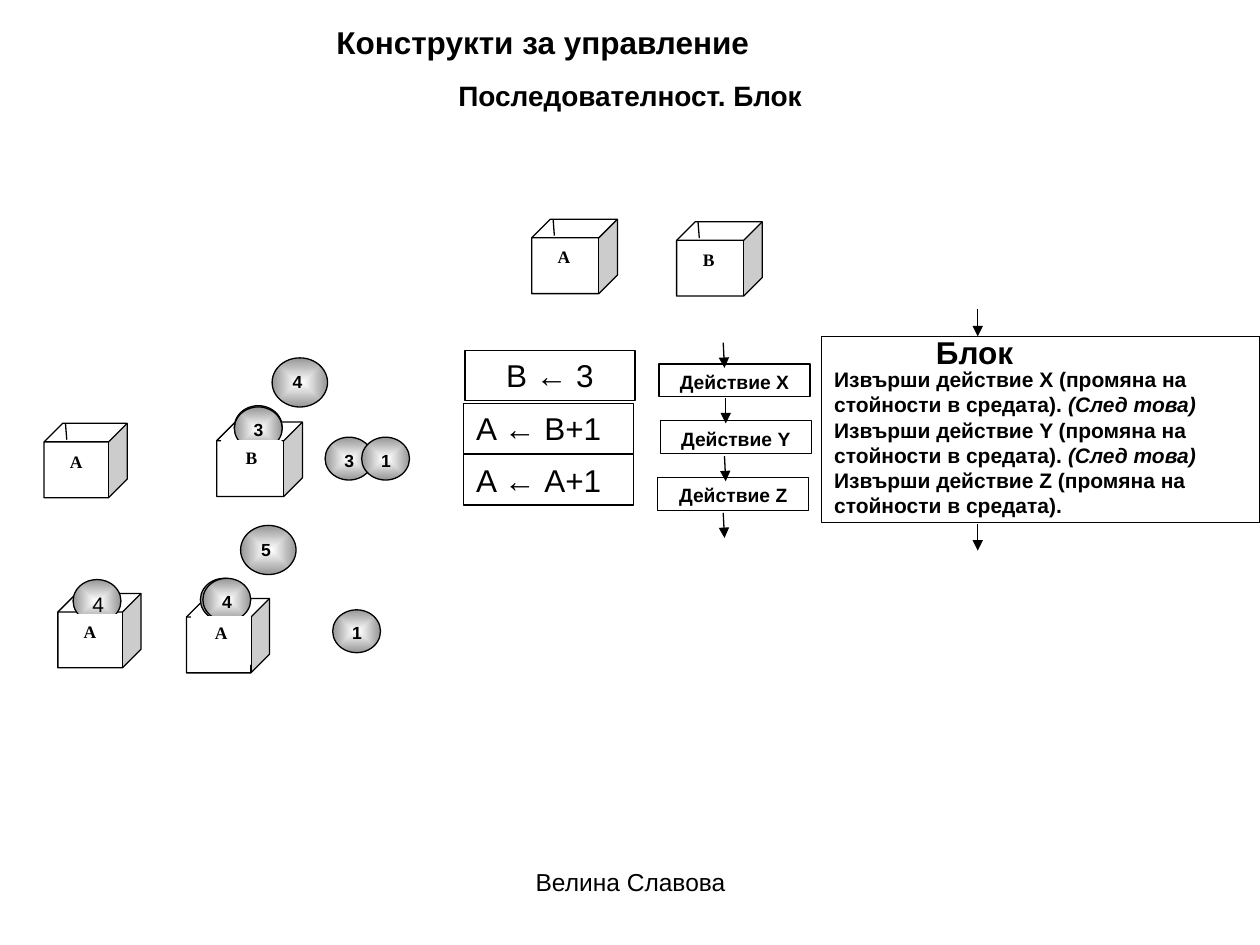
from lxml.etree import SubElement
from pptx import Presentation
from pptx.dml.color import RGBColor
from pptx.enum.shapes import MSO_CONNECTOR, MSO_SHAPE
from pptx.enum.text import MSO_ANCHOR, MSO_AUTO_SIZE, PP_ALIGN
from pptx.oxml import parse_xml
from pptx.oxml.ns import nsdecls, qn
from pptx.util import Inches, Pt

BLACK = RGBColor(0x00, 0x00, 0x00)
WHITE = RGBColor(0xFF, 0xFF, 0xFF)
GRAY = RGBColor(0x96, 0x96, 0x96)

CUBES = [
    (0.46, 4.71, 0.66, "А", 0.02, 0.17),
    (1.72, 3.35, 0.68, "B", 0.04, 0.15),
    (0.35, 3.36, 0.66, "А", 0.02, 0.17),
    (5.37, 1.76, 0.68, "B", 0.02, 0.17),
    (4.22, 1.74, 0.68, "А", 0.02, 0.16),
    (1.48, 4.75, 0.66, "А", 0.04, 0.14),
]
SMALL_BALL = (0.38, 0.34)
LARGE_BALL = (0.44, 0.39)
BALLS = [
    (2.58, 3.47, SMALL_BALL, "3"),
    (1.86, 3.22, SMALL_BALL, "3"),
    (1.86, 3.23, SMALL_BALL, "3"),
    (2.87, 3.47, SMALL_BALL, "1"),
    (2.16, 2.84, LARGE_BALL, "4"),
    (1.59, 4.59, SMALL_BALL, "4"),
    (1.61, 4.59, SMALL_BALL, "4"),
    (2.64, 4.84, SMALL_BALL, "1"),
    (1.91, 4.17, LARGE_BALL, "5"),
]
ACTIONS = [
    (5.23, 2.89, "Действие X"),
    (5.24, 3.34, "Действие Y"),
    (5.22, 3.79, "Действие Z"),
]
ASSIGNMENTS = [
    (3.69, 2.78, "B ← 3", PP_ALIGN.CENTER),
    (3.68, 3.20, "A ← B+1", PP_ALIGN.LEFT),
    (3.68, 3.61, "A ← А+1", PP_ALIGN.LEFT),
]
ARROWS = [
    (5.74, 2.72, 5.75, 2.92),
    (5.76, 3.16, 5.76, 3.36),
    (5.75, 3.62, 5.76, 3.82),
    (5.74, 4.07, 5.75, 4.27),
    (7.76, 2.45, 7.76, 2.67),
    (7.76, 4.16, 7.76, 4.37),
]
STEPS = [
    ("Извърши действие Х (промяна на стойности в средата). ", "(След това)"),
    ("Извърши действие Y (промяна на стойности в средата).", " (След това)"),
    ("Извърши действие Z (промяна на стойности в средата).", ""),
]


def place(shape, left, top, width, height):
    shape.left, shape.top = Inches(left), Inches(top)
    shape.width, shape.height = Inches(width), Inches(height)


def style_paragraph(para, size, bold=False, align=PP_ALIGN.LEFT, font="Arial"):
    para.alignment = align
    para.font.name = font
    para.font.size = Pt(size)
    para.font.bold = bold
    para.font.color.rgb = BLACK


def write(shape, text, size, bold=False, align=PP_ALIGN.LEFT, font="Arial", wrap=True,
          anchor=MSO_ANCHOR.TOP):
    frame = shape.text_frame
    frame.word_wrap = wrap
    frame.auto_size = MSO_AUTO_SIZE.NONE
    frame.vertical_anchor = anchor
    frame.text = text
    style_paragraph(frame.paragraphs[0], size, bold, align, font)


def outline(shape, color=BLACK):
    shape.line.color.rgb = color
    shape.line.width = Pt(0.75)


def add_figure(slide, kind, left, top, width, height, fill=WHITE, line=BLACK):
    shape = slide.shapes.add_shape(kind, Inches(left), Inches(top), Inches(width), Inches(height))
    shape.shadow.inherit = False
    if fill is None:
        shape.fill.background()
    else:
        shape.fill.solid()
        shape.fill.fore_color.rgb = fill
    outline(shape, line)
    return shape


def add_line(slide, x1, y1, x2, y2, arrow=False):
    line = slide.shapes.add_connector(
        MSO_CONNECTOR.STRAIGHT, Inches(x1), Inches(y1), Inches(x2), Inches(y2))
    outline(line)
    properties = line._element.spPr
    if arrow:
        SubElement(properties.find(qn("a:ln")), qn("a:tailEnd"), type="triangle")
    SubElement(properties, qn("a:effectLst"))


def add_cube(slide, left, top, width):
    add_figure(slide, MSO_SHAPE.CUBE, left, top, width, 0.59)
    add_line(slide, left + 0.17, top, left + 0.18, top + 0.13)


def add_cube_label(slide, left, top, letter):
    label = add_figure(slide, MSO_SHAPE.RECTANGLE, left, top, 0.47, 0.38, line=WHITE)
    write(label, letter, 10, True, PP_ALIGN.CENTER, "Times New Roman")


def add_ball(slide, left, top, size, number, font_size=10, bold=True):
    ball = add_figure(slide, MSO_SHAPE.OVAL, left, top, *size)
    properties = ball._element.spPr
    solid = properties.find(qn("a:solidFill"))
    gradient = parse_xml(
        f'<a:gradFill {nsdecls("a")} rotWithShape="1"><a:gsLst>'
        f'<a:gs pos="0"><a:srgbClr val="{WHITE}"/></a:gs>'
        f'<a:gs pos="100000"><a:srgbClr val="{GRAY}"/></a:gs></a:gsLst>'
        '<a:path path="rect"><a:fillToRect l="50000" t="50000" r="50000" b="50000"/></a:path>'
        '</a:gradFill>')
    properties.replace(solid, gradient)
    write(ball, number, font_size, bold)


def add_text(slide, left, top, width, height, text, size, **style):
    box = slide.shapes.add_textbox(Inches(left), Inches(top), Inches(width), Inches(height))
    write(box, text, size, **style)


def fill_block(body):
    place(body, 6.52, 2.67, 3.48, 1.48)
    body.fill.solid()
    body.fill.fore_color.rgb = WHITE
    outline(body)
    frame = body.text_frame
    frame.word_wrap = True
    frame.auto_size = MSO_AUTO_SIZE.NONE
    frame.vertical_anchor = MSO_ANCHOR.TOP
    frame.margin_top = Inches(0.24)
    for index, (action, sequel) in enumerate(STEPS):
        para = frame.add_paragraph() if index else frame.paragraphs[0]
        style_paragraph(para, 12, bold=True)
        para.space_before = Pt(0)
        properties = para._p.get_or_add_pPr()
        properties.set("marL", "0")
        properties.set("indent", "0")
        properties.insert_element_before(
            parse_xml(f'<a:buNone {nsdecls("a")}/>'), "a:tabLst", "a:defRPr", "a:extLst")
        para.add_run().text = action
        if sequel:
            span = para.add_run()
            span.text = sequel
            span.font.italic = True


def main():
    deck = Presentation()
    deck.slide_width, deck.slide_height = Inches(10), Inches(7.5)
    page = deck.slides.add_slide(deck.slide_layouts[1])

    title = page.shapes.title
    place(title, 2.57, 0.08, 3.49, 0.5)
    write(title, "Конструкти за управление", 18, True, wrap=False, anchor=MSO_ANCHOR.MIDDLE)
    add_text(page, 3.54, 0.57, 2.96, 0.37, "Последователност. Блок", 16, bold=True,
             wrap=False, anchor=MSO_ANCHOR.MIDDLE)
    fill_block(page.placeholders[1])
    add_text(page, 7.33, 2.59, 0.81, 0.4, "Блок", 18, bold=True, wrap=False)

    for left, top, text in ACTIONS:
        action = add_figure(page, MSO_SHAPE.RECTANGLE, left, top, 1.2, 0.26)
        write(action, text, 11, True, PP_ALIGN.CENTER)
    for ends in ARROWS:
        add_line(page, *ends, arrow=True)
    for left, top, text, align in ASSIGNMENTS:
        assignment = add_figure(page, MSO_SHAPE.RECTANGLE, left, top, 1.35, 0.4, fill=None)
        write(assignment, text, 18, align=align)

    for left, top, width, *_ in CUBES:
        add_cube(page, left, top, width)
    add_ball(page, 0.58, 4.6, SMALL_BALL, "4", 12, False)
    for ball in BALLS:
        add_ball(page, *ball)
    for left, top, _, letter, shift, drop in CUBES:
        add_cube_label(page, left + shift, top + drop, letter)

    add_text(page, 3.42, 6.83, 3.17, 0.52, "Велина Славова", 14, align=PP_ALIGN.CENTER)
    deck.save("out.pptx")


if __name__ == "__main__":
    main()
